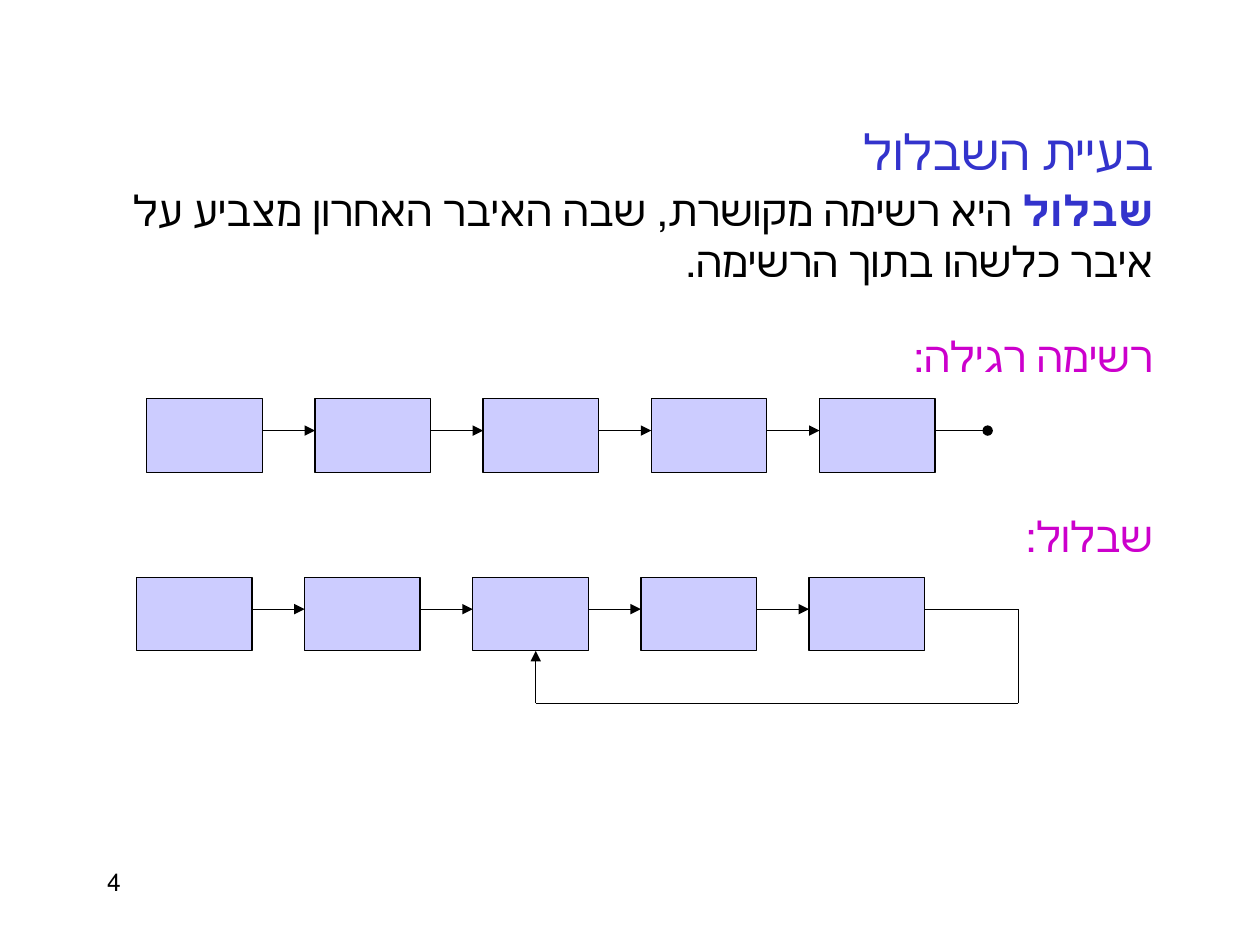
from lxml import etree
from pptx import Presentation
from pptx.dml.color import RGBColor
from pptx.enum.shapes import MSO_CONNECTOR, MSO_SHAPE
from pptx.enum.text import MSO_ANCHOR, MSO_AUTO_SIZE, PP_ALIGN
from pptx.oxml.ns import qn
from pptx.util import Cm, Pt

STRAIGHT = MSO_CONNECTOR.STRAIGHT
RECTANGLE = MSO_SHAPE.RECTANGLE
TOP = MSO_ANCHOR.TOP
NO_AUTOFIT = MSO_AUTO_SIZE.NONE
LEFT, RIGHT = PP_ALIGN.LEFT, PP_ALIGN.RIGHT

COLORS = {"heading": "3333CC", "label": "CC00CC", "ink": "000000", "node": "CCCCFF"}
FONT = "Times New Roman"

NODE_COUNT = 5
NODE_WIDTH, NODE_HEIGHT, NODE_PITCH = 2.33, 1.48, 3.39
ARROW_DROP = 0.64

prs = Presentation()
prs.slide_width, prs.slide_height = Cm(25.4), Cm(19.05)
slide = prs.slides.add_slide(prs.slide_layouts[5])
shapes = slide.shapes


def write(box, runs, size, align=RIGHT):
    frame = box.text_frame
    frame.word_wrap = True
    frame.auto_size = NO_AUTOFIT
    frame.vertical_anchor = TOP
    paragraph = frame.paragraphs[0]
    paragraph.alignment = align
    paragraph._p.get_or_add_pPr().set("rtl", "1")
    for text, color, bold in runs:
        run = paragraph.add_run()
        run.text = text
        run.font.name = FONT
        run.font.size = Pt(size)
        run.font.bold = bold
        run.font.color.rgb = RGBColor.from_string(COLORS[color])


def link(x1, y1, x2, y2, end=None):
    connector = shapes.add_connector(STRAIGHT, Cm(x1), Cm(y1), Cm(x2), Cm(y2))
    connector.line.width = Pt(0.75)
    connector.line.color.rgb = RGBColor.from_string(COLORS["ink"])
    if end:
        etree.SubElement(connector.line._get_or_add_ln(), qn("a:tailEnd"), type=end)
    etree.SubElement(connector._element.spPr, qn("a:effectLst"))


title = shapes.title
title.left, title.top, title.width, title.height = Cm(15.03), Cm(2.33), Cm(8.47), Cm(1.45)
write(title, [("בעיית השבלול", "heading", False)], 28)

definition = [
    ("שבלול", "heading", True),
    (" היא רשימה מקושרת, שבה האיבר האחרון מצביע על איבר כלשהו בתוך הרשימה.", "ink", False),
]
for left, top, width, height, runs, size, align in [
    (0.85, 3.6, 22.65, 2.29, definition, 24, RIGHT),
    (17.99, 6.53, 5.5, 1.27, [("רשימה רגילה:", "label", False)], 24, RIGHT),
    (17.99, 10.16, 5.5, 1.27, [("שבלול:", "label", False)], 24, RIGHT),
    (1.91, 17.36, 5.29, 1.27, [("4", "ink", False)], 14, LEFT),
]:
    write(shapes.add_textbox(Cm(left), Cm(top), Cm(width), Cm(height)), runs, size, align)

plain_left, plain_top = 2.96, 8.04
snail_left, snail_top = 2.75, 11.64
for row_left, row_top in [(plain_left, plain_top), (snail_left, snail_top)]:
    arrow_y = row_top + ARROW_DROP
    for i in range(NODE_COUNT):
        x = row_left + i * NODE_PITCH
        node = shapes.add_shape(RECTANGLE, Cm(x), Cm(row_top), Cm(NODE_WIDTH), Cm(NODE_HEIGHT))
        node.shadow.inherit = False
        node.fill.solid()
        node.fill.fore_color.rgb = RGBColor.from_string(COLORS["node"])
        node.line.color.rgb = RGBColor.from_string(COLORS["ink"])
        node.line.width = Pt(0.75)
        if i < NODE_COUNT - 1:
            link(x + NODE_WIDTH, arrow_y, x + NODE_PITCH, arrow_y, "triangle")

last_right = (NODE_COUNT - 1) * NODE_PITCH + NODE_WIDTH
plain_y = plain_top + ARROW_DROP
link(plain_left + last_right, plain_y, plain_left + NODE_COUNT * NODE_PITCH, plain_y, "oval")

snail_y = snail_top + ARROW_DROP
loop_right, loop_bottom, loop_entry = 20.53, 14.18, 10.8
link(snail_left + last_right, snail_y, loop_right, snail_y)
link(loop_right, snail_y, loop_right, loop_bottom)
link(loop_right, loop_bottom, loop_entry, loop_bottom)
link(loop_entry, loop_bottom, loop_entry, snail_top + NODE_HEIGHT, "triangle")

prs.save("out.pptx")
